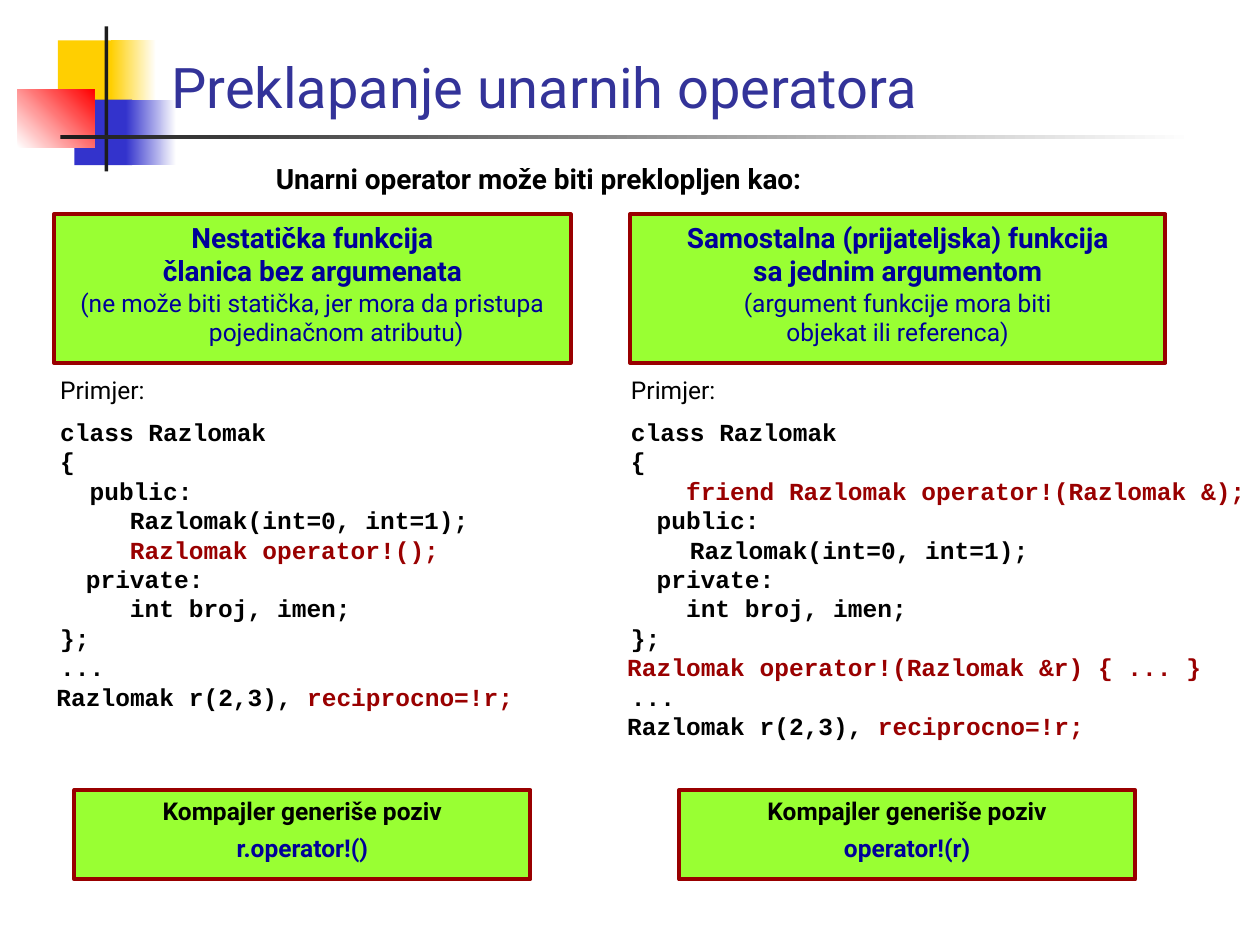
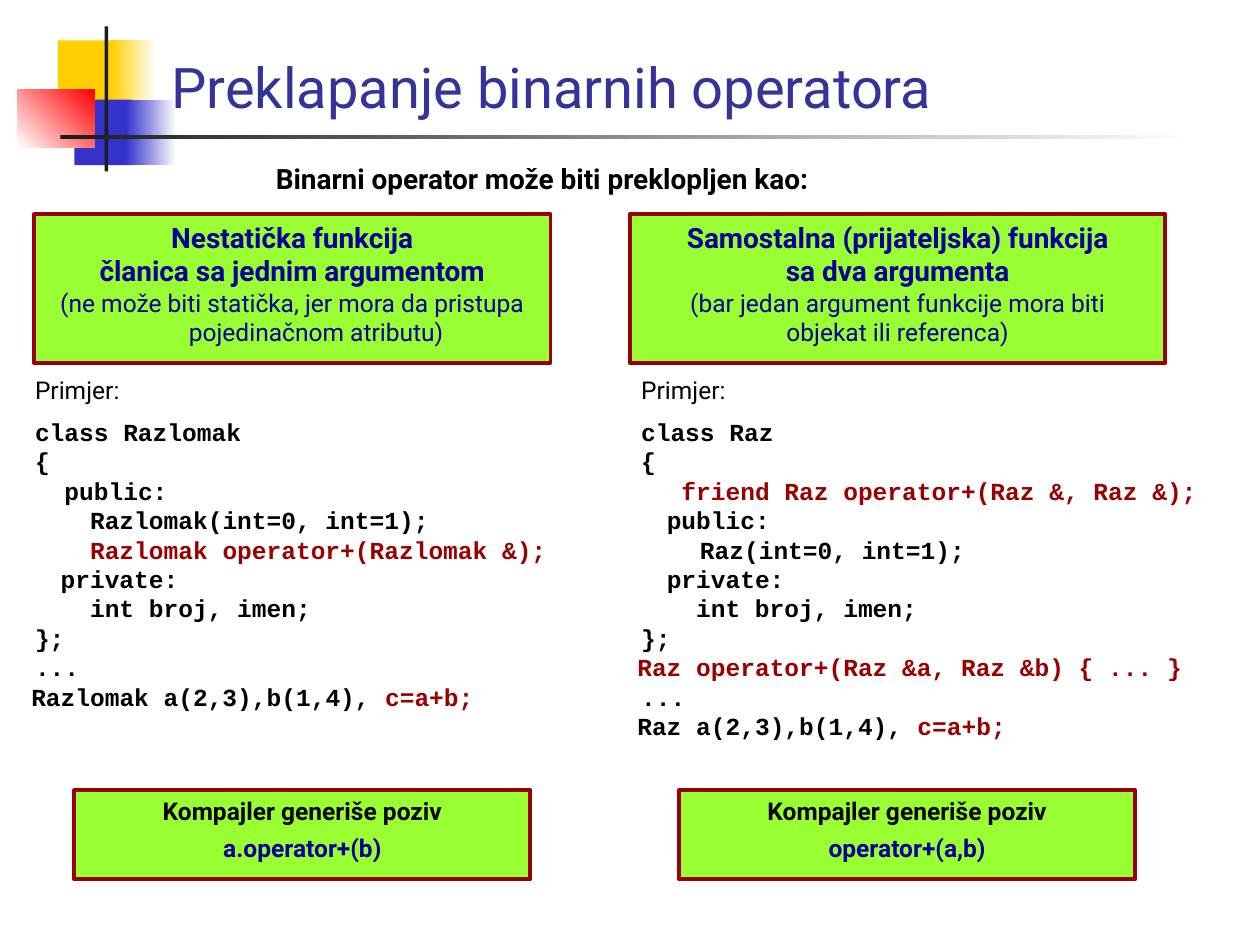
"""Build two slides on overloading unary and binary operators."""
from pptx import Presentation
from pptx.dml.color import RGBColor
from pptx.enum.shapes import MSO_SHAPE
from pptx.enum.text import MSO_ANCHOR, MSO_AUTO_SIZE, PP_ALIGN
from pptx.util import Inches, Pt

RECTANGLE = MSO_SHAPE.RECTANGLE
LEFT, CENTER = PP_ALIGN.LEFT, PP_ALIGN.CENTER
TOP, BOTTOM = MSO_ANCHOR.TOP, MSO_ANCHOR.BOTTOM
NO_AUTOFIT = MSO_AUTO_SIZE.NONE

WHITE = RGBColor(0xFF, 0xFF, 0xFF)
BLACK = RGBColor(0x00, 0x00, 0x00)
YELLOW = RGBColor(0xFF, 0xCF, 0x01)
BLUE = RGBColor(0x33, 0x33, 0xCC)
RED = RGBColor(0xFF, 0x00, 0x00)
CHARCOAL = RGBColor(0x1C, 0x1C, 0x1C)
TITLE_BLUE = RGBColor(0x33, 0x33, 0x99)
NAVY = RGBColor(0x00, 0x00, 0x99)
GREEN = RGBColor(0x99, 0xFF, 0x33)
MAROON = RGBColor(0x99, 0x00, 0x00)

TEXT_FONT, CODE_FONT = "Roboto", "Courier New"
CHARACTER_WIDTH = 0.1167
HANGING = 0.38

DECORATION = [
    ((0.46, 0.32, 0.48, 0.52), (YELLOW,), 0),
    ((0.88, 0.32, 0.36, 0.52), (YELLOW, WHITE), 0),
    ((0.59, 0.79, 0.46, 0.52), (BLUE,), 0),
    ((1, 0.79, 0.4, 0.52), (BLUE, WHITE), 0),
    ((0.14, 0.71, 0.61, 0.46), (WHITE, RED), 45),
    ((0.83, 0.21, 0.03, 1.15), (CHARCOAL,), 0),
    ((0.48, 1.07, 9, 0.03), (CHARCOAL, WHITE), 0),
]

MEMBER_NOTE = ["(ne može biti statička, jer mora da pristupa pojedinačnom atributu)"]
MEMBER_HEADING = "Nestatička funkcija"
FRIEND_HEADING = "Samostalna (prijateljska) funkcija"
REFERENCE_NOTE = "objekat ili referenca)"
CALL_LABEL = "Kompajler generiše poziv"
EXAMPLE_LABEL = "Primjer:"
CALL_LEFTS = (0.59, 5.39)


def member_code(column, declaration, variables, result):
    """Return member function code as (indent, black text, red text) lines."""
    deep = column * CHARACTER_WIDTH
    return [
        (HANGING, "class Razlomak", ""),
        (HANGING, "{", ""),
        (HANGING + 2 * CHARACTER_WIDTH, "public:", ""),
        (deep, "Razlomak(int=0, int=1);", ""),
        (deep, "", declaration),
        (5 * CHARACTER_WIDTH, "private:", ""),
        (deep, "int broj, imen;", ""),
        (HANGING, "};", ""),
        (HANGING, "...", ""),
        (3 * CHARACTER_WIDTH, f"Razlomak {variables}, ", result),
    ]


def friend_code(name, column, declaration, definition, variables, result):
    """Return friend function code as (indent, black text, red text) lines."""
    return [
        (HANGING, f"class {name}", ""),
        (HANGING, "{", ""),
        (column * CHARACTER_WIDTH, "", f"friend {name} {declaration}"),
        (5 * CHARACTER_WIDTH, "public:", ""),
        (HANGING + 4 * CHARACTER_WIDTH, f"{name}(int=0, int=1);", ""),
        (5 * CHARACTER_WIDTH, "private:", ""),
        (7 * CHARACTER_WIDTH, "int broj, imen;", ""),
        (HANGING, "};", ""),
        (3 * CHARACTER_WIDTH, "", f"{name} {definition}"),
        (HANGING, "...", ""),
        (3 * CHARACTER_WIDTH, f"{name} {variables}, ", result),
    ]


SLIDES = [
    {
        "title": "Preklapanje unarnih operatora",
        "lead": "Unarni operator može biti preklopljen kao:",
        "columns": [
            {
                "heading": [MEMBER_HEADING, "članica bez argumenata"],
                "note": MEMBER_NOTE,
                "heading_span": (0.43, 4.1),
                "code_span": (0, 5),
                "code": member_code(8, "Razlomak operator!();", "r(2,3)", "reciprocno=!r;"),
                "call": "r.operator!()",
            },
            {
                "heading": [FRIEND_HEADING, "sa jednim argumentom"],
                "note": ["(argument funkcije mora biti", REFERENCE_NOTE],
                "heading_span": (5, 4.25),
                "code_span": (4.53, 5.47),
                "code": friend_code("Razlomak", 7, "operator!(Razlomak &);",
                                    "operator!(Razlomak &r) { ... }", "r(2,3)", "reciprocno=!r;"),
                "call": "operator!(r)",
            },
        ],
    },
    {
        "title": "Preklapanje binarnih operatora",
        "lead": "Binarni operator može biti preklopljen kao:",
        "columns": [
            {
                "heading": [MEMBER_HEADING, "članica sa jednim argumentom"],
                "note": MEMBER_NOTE,
                "heading_span": (0.27, 4.1),
                "code_span": (-0.2, 5),
                "code": member_code(7, "Razlomak operator+(Razlomak &);", "a(2,3),b(1,4)", "c=a+b;"),
                "call": "a.operator+(b)",
            },
            {
                "heading": [FRIEND_HEADING, "sa dva argumenta"],
                "note": ["(bar jedan argument funkcije mora biti", REFERENCE_NOTE],
                "heading_span": (5, 4.25),
                "code_span": (4.61, 5.28),
                "code": friend_code("Raz", 6, "operator+(Raz &, Raz &);",
                                    "operator+(Raz &a, Raz &b) { ... }", "a(2,3),b(1,4)", "c=a+b;"),
                "call": "operator+(a,b)",
            },
        ],
    },
]


def inches(box):
    """Convert a box of numbers to lengths."""
    return [Inches(value) for value in box]


def add_rectangle(slide, box, colors, angle=0):
    """Add a borderless rectangle with a solid or gradient fill."""
    shape = slide.shapes.add_shape(RECTANGLE, *inches(box))
    shape.shadow.inherit = False
    shape.line.fill.background()
    if len(colors) == 1:
        shape.fill.solid()
        shape.fill.fore_color.rgb = colors[0]
    else:
        shape.fill.gradient()
        shape.fill.gradient_angle = angle
        for stop, color in zip(shape.fill.gradient_stops, colors):
            stop.color.rgb = color
    return shape


def add_panel(slide, box):
    """Add a bordered green panel and return its text frame."""
    panel = add_rectangle(slide, box, (GREEN,))
    panel.line.color.rgb = MAROON
    panel.line.width = Pt(2.25)
    panel.text_frame.vertical_anchor = TOP
    panel.text_frame.word_wrap = True
    return panel.text_frame


def add_text_box(slide, box):
    """Add a wrapping text box and return its text frame."""
    text_frame = slide.shapes.add_textbox(*inches(box)).text_frame
    text_frame.word_wrap = True
    return text_frame


def add_paragraph(text_frame, parts, size, font=TEXT_FONT, bold=True, align=LEFT,
                  margin=0, first_line=0, before=0):
    """Write (text, colour) parts into the next paragraph."""
    paragraph = text_frame.paragraphs[0]
    if paragraph.runs:
        paragraph = text_frame.add_paragraph()
    paragraph.alignment = align
    paragraph.space_before = Pt(before)
    properties = paragraph._p.get_or_add_pPr()
    properties.set("marL", str(Inches(margin)))
    properties.set("indent", str(Inches(first_line)))
    for text, color in parts:
        if text:
            run = paragraph.add_run()
            run.text = text
            run.font.name = font
            run.font.size = Pt(size)
            run.font.bold = bold
            run.font.color.rgb = color


def add_title(slide, text):
    """Place and format the title."""
    title = slide.shapes.title
    title.left, title.top, title.width, title.height = inches((1.26, 0.13, 8.74, 0.87))
    title.text_frame.vertical_anchor = BOTTOM
    title.text_frame.auto_size = NO_AUTOFIT
    add_paragraph(title.text_frame, [(text, TITLE_BLUE)], 32, bold=False)


def add_column(slide, column, call_left):
    """Add the heading panel, code and call panel of one column."""
    left, width = column["code_span"]
    code = add_text_box(slide, (left, 2.93, width, 3.73))
    add_paragraph(code, [(EXAMPLE_LABEL, BLACK)], 14, bold=False, margin=HANGING)
    for number, (indent, black_text, red_text) in enumerate(column["code"]):
        add_paragraph(code, [(black_text, BLACK), (red_text, MAROON)], 14, CODE_FONT,
                      margin=indent, before=0 if number else 7)

    left, width = column["heading_span"]
    heading = add_panel(slide, (left, 1.7, width, 1.18))
    for lines, size, bold in ((column["heading"], 16, True), (column["note"], 14, False)):
        for line in lines:
            add_paragraph(heading, [(line, NAVY)], size, bold=bold, align=CENTER,
                          margin=HANGING, first_line=-HANGING)

    call = add_panel(slide, (call_left, 6.27, 3.62, 0.71))
    add_paragraph(call, [(CALL_LABEL, BLACK)], 14, align=CENTER)
    add_paragraph(call, [(column["call"], NAVY)], 14, align=CENTER, before=4)


def decorate_layout(layout, slide):
    """Draw the shared decoration and move it to the layout."""
    for placeholder in list(layout.placeholders):
        if placeholder.placeholder_format.idx:
            layout.shapes.element.remove(placeholder.element)
    shapes = [add_rectangle(slide, *part) for part in DECORATION]
    for shape in shapes:
        layout.shapes.element.append(shape.element)


def main():
    """Build and save the presentation."""
    presentation = Presentation()
    presentation.slide_width, presentation.slide_height = Inches(10), Inches(7.5)
    layout = presentation.slide_layouts[5]
    for number, content in enumerate(SLIDES):
        slide = presentation.slides.add_slide(layout)
        if number == 0:
            decorate_layout(layout, slide)
        add_title(slide, content["title"])
        lead = add_text_box(slide, (2.09, 1.23, 5.59, 0.47))
        add_paragraph(lead, [(content["lead"], BLACK)], 16)
        for column, call_left in zip(content["columns"], CALL_LEFTS):
            add_column(slide, column, call_left)
    presentation.save("out.pptx")


if __name__ == "__main__":
    main()
